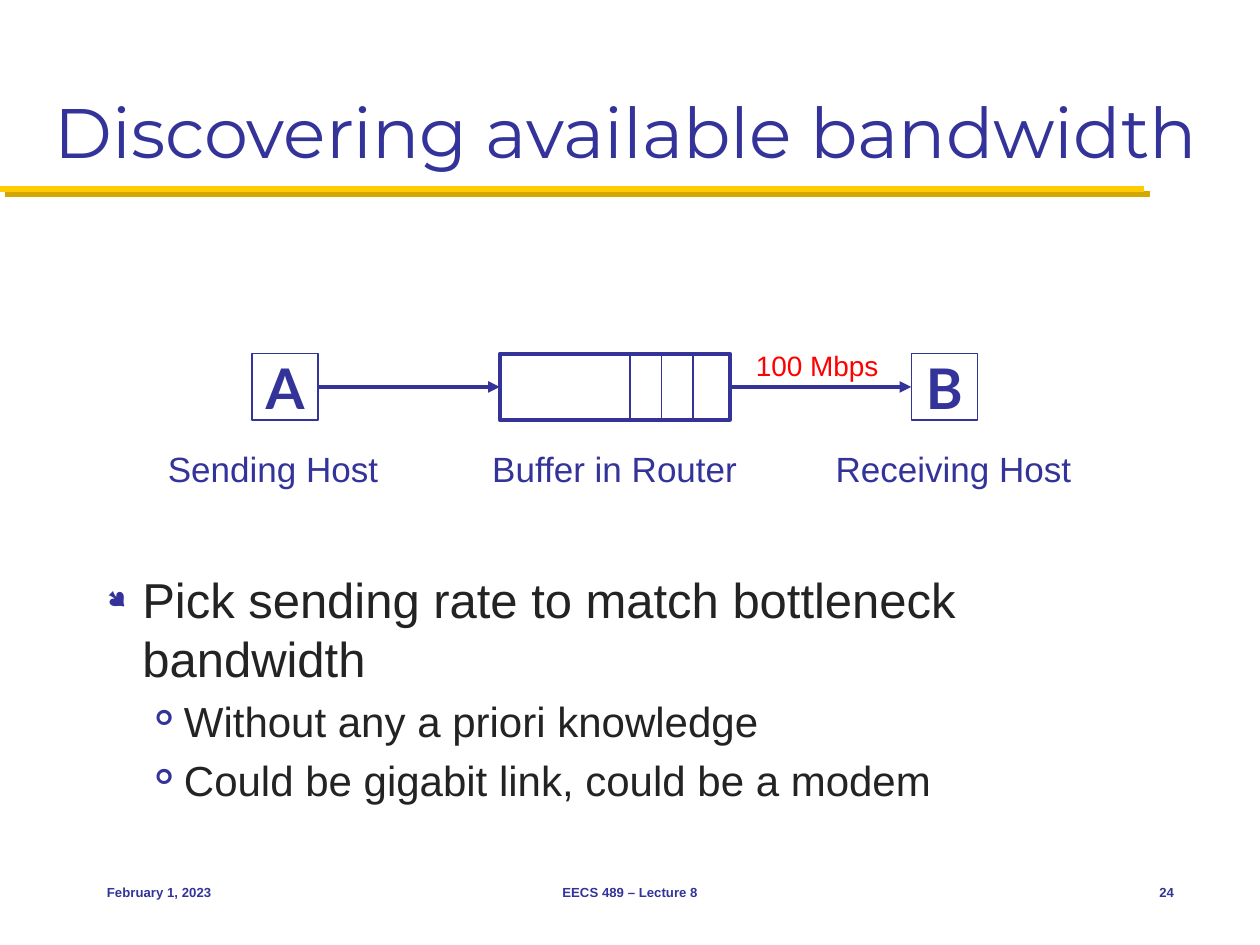
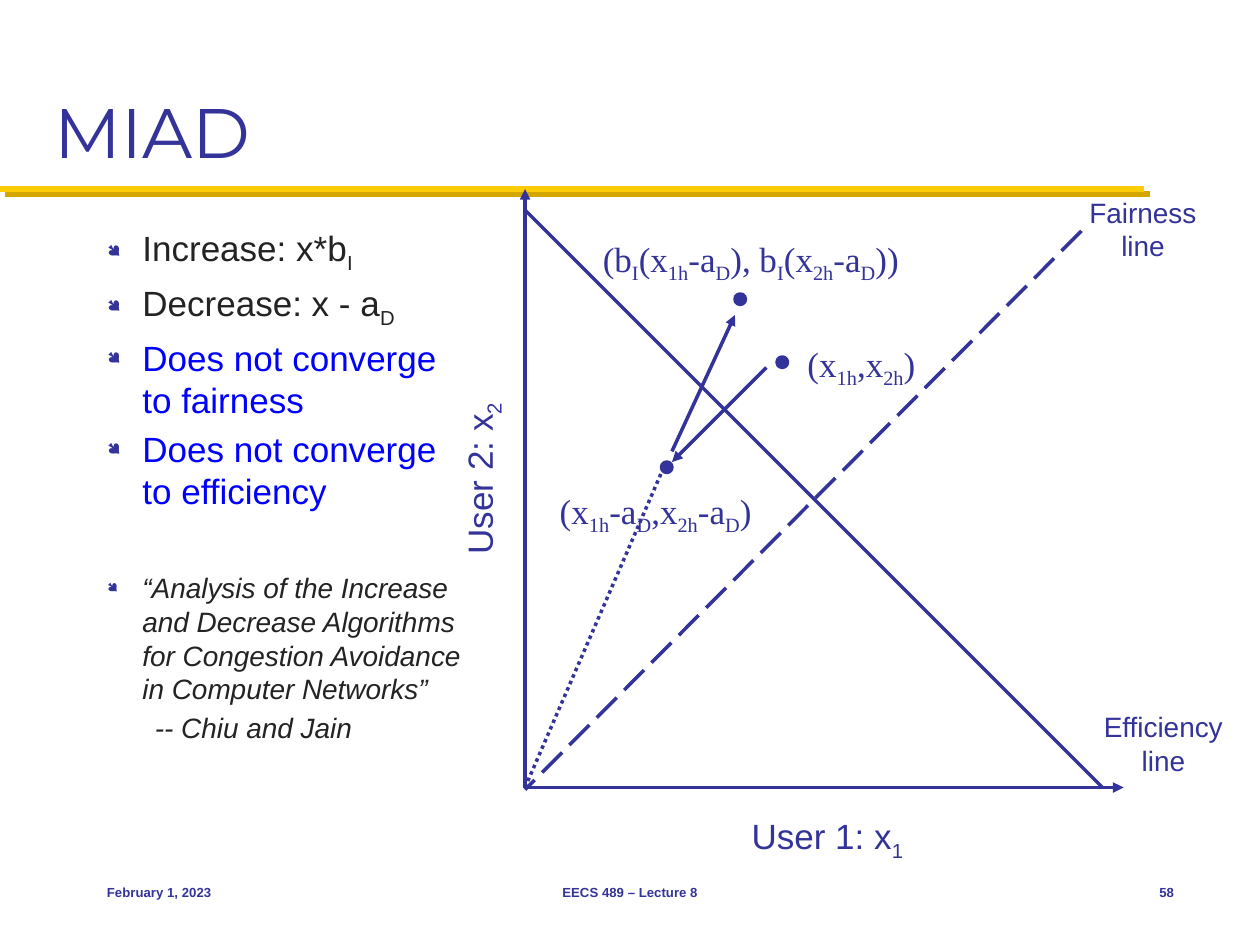
"""Two lecture slides on congestion control, laid out on a 120 x 90 grid."""
from dataclasses import dataclass
from typing import Optional

from lxml import etree
from pptx import Presentation
from pptx import util as u
from pptx.dml.color import RGBColor
from pptx.enum import dml, shapes, text
from pptx.oxml import ns

NAVY = RGBColor(0x33, 0x33, 0x99)
INK = RGBColor(0x23, 0x23, 0x23)
BLUE = RGBColor(0x00, 0x00, 0xFF)
RED = RGBColor(0xFF, 0x00, 0x00)
WHITE = RGBColor(0xFF, 0xFF, 0xFF)
GOLD = RGBColor(0xFF, 0xCB, 0x05)
DARK_GOLD = RGBColor(0xD3, 0xA6, 0x00)

SANS, SERIF, HEADING, HOST_FONT = "Arial", "Times New Roman", "Montserrat", "Lato"
LEFT, CENTER, RIGHT = text.PP_ALIGN.LEFT, text.PP_ALIGN.CENTER, text.PP_ALIGN.RIGHT
MIDDLE = text.MSO_ANCHOR.MIDDLE
DASH = dml.MSO_LINE
LINE_HEIGHT, PARA_GAP = 1.2, 0.2  # shares of the text size
DOT = 1  # diameter of a plotted point, in columns


def grid(count: float) -> int:
    """Length of a number of columns or rows (twelve to the inch)."""
    return u.Inches(round(count / 12, 3))


@dataclass(frozen=True)
class Label:
    """Free text; parts between bars alternate normal and subscript."""
    content: str
    col: float
    row: float
    cols: float
    rows: float = 5.2
    size: float = 20
    font: str = SANS
    color: RGBColor = NAVY
    align: text.PP_ALIGN = CENTER
    bold: bool = False
    middle: bool = False
    wrap: bool = False
    turn: float = 0


@dataclass(frozen=True)
class Stroke:
    """Straight line between two grid points."""
    start: tuple[float, float]
    end: tuple[float, float]
    width: float = 2
    arrow: bool = False
    dash: Optional[dml.MSO_LINE] = None
    color: RGBColor = NAVY


@dataclass(frozen=True)
class Item:
    """Paragraph of the body list; skip is extra space above in points."""
    content: str
    size: float
    color: RGBColor = INK
    level: int = 0
    bullet: str = "\u25cf"
    margin: float = 0.28
    hang: float = 0.28
    italic: bool = False
    skip: float = 0


def add_child(parent, tag: str, **attributes: str):
    """Append a DrawingML element and return it."""
    return etree.SubElement(parent, ns.qn(tag), attributes)


def add_spans(para, content: str, size: float, font: str, color: RGBColor,
              bold: bool = False, italic: bool = False) -> None:
    """Write the runs of a paragraph, lowering every second part."""
    for index, part in enumerate(content.split("|")):
        if not part:
            continue
        span = para.add_run()
        span.text = part
        style = span.font
        style.name, style.size, style.color.rgb = font, u.Pt(size), color
        style.bold, style.italic = bold, italic
        if index % 2:
            style._element.set("baseline", "-25000")


def add_label(page, label: Label) -> None:
    """Place a text box, one paragraph for each line of its content."""
    box = page.shapes.add_textbox(*map(grid, (label.col, label.row, label.cols, label.rows)))
    box.rotation = label.turn
    frame = box.text_frame
    frame.word_wrap = label.wrap
    if label.middle:
        frame.vertical_anchor = MIDDLE
    for index, content in enumerate(label.content.split("\n")):
        para = frame.add_paragraph() if index else frame.paragraphs[0]
        para.alignment = label.align
        add_spans(para, content, label.size, label.font, label.color, label.bold)


def add_stroke(page, stroke: Stroke):
    """Draw a line or arrow and return its (empty) effect list."""
    line = page.shapes.add_connector(
        shapes.MSO_CONNECTOR.STRAIGHT, *map(grid, stroke.start + stroke.end))
    line.line.color.rgb = stroke.color
    line.line.width = u.Pt(stroke.width)
    if stroke.dash:
        line.line.dash_style = stroke.dash
    if stroke.arrow:
        add_child(line.line._get_or_add_ln(), "a:tailEnd", type="triangle")
    return add_child(line._element.spPr, "a:effectLst")


def add_figure(page, kind: shapes.MSO_SHAPE, area: tuple[float, ...],
               fill: RGBColor, width: float, letter: str = "") -> None:
    """Draw an outlined shape, with a bold letter if one is given."""
    figure = page.shapes.add_shape(kind, *map(grid, area))
    figure.shadow.inherit = False
    figure.fill.solid()
    figure.fill.fore_color.rgb = fill
    figure.line.color.rgb = NAVY
    figure.line.width = u.Pt(width)
    if letter:
        frame = figure.text_frame
        frame.word_wrap = False
        frame.vertical_anchor = MIDDLE
        frame.margin_left = frame.margin_right = u.Inches(0.06)
        frame.margin_top = frame.margin_bottom = u.Inches(0.03)
        frame.paragraphs[0].alignment = CENTER
        add_spans(frame.paragraphs[0], letter, 32, HOST_FONT, NAVY, bold=True)


def add_item(para, item: Item) -> None:
    """Format one list paragraph and its bullet."""
    para.level = item.level
    para.alignment = LEFT
    para.space_before = u.Pt(item.size * PARA_GAP + item.skip)
    props = para._p.get_or_add_pPr()
    props.set("marL", str(u.Inches(item.margin)))
    props.set("indent", str(-u.Inches(item.hang)))
    if item.bullet:
        add_child(add_child(props, "a:buClr"), "a:srgbClr", val=str(NAVY))
        add_child(props, "a:buSzPct", val="50000")
        add_child(props, "a:buFont", typeface="Wingdings")
        add_child(props, "a:buChar", char=item.bullet)
    else:
        add_child(props, "a:buNone")
    add_spans(para, item.content, item.size, SANS, item.color, italic=item.italic)


def place(holder, area: tuple[float, ...]) -> None:
    """Move a placeholder to an area of the grid."""
    holder.left, holder.top, holder.width, holder.height = map(grid, area)
    holder.text_frame.auto_size = text.MSO_AUTO_SIZE.NONE


def add_page(deck, title: str, number: int, body_cols: float, items: list[Item],
             drop: float = 0):
    """Add a slide with title, gold band, list and footer; drop lowers the list (points)."""
    page = deck.slides.add_slide(deck.slide_layouts[1])
    effects = add_stroke(page, Stroke((0, 18), (109, 18), 3.5, color=GOLD))
    shadow = add_child(effects, "a:outerShdw", dist=str(u.Pt(4.2)), dir="2700000",
                       algn="ctr", rotWithShape="0")
    add_child(shadow, "a:srgbClr", val=str(DARK_GOLD))

    heading = page.shapes.title
    place(heading, (4, 2, 112, 15))
    heading.text_frame.vertical_anchor = text.MSO_ANCHOR.BOTTOM
    heading.text_frame.paragraphs[0].alignment = LEFT
    add_spans(heading.text_frame.paragraphs[0], title, 40, HEADING, NAVY)

    body = page.placeholders[1]
    place(body, (9, 21, body_cols, 58))
    frame = body.text_frame
    frame.margin_top = u.Inches(0.05) + u.Pt(drop)
    for index, item in enumerate(items):
        add_item(frame.add_paragraph() if index else frame.paragraphs[0], item)

    for content, col, cols, align in (("February 1, 2023", 9, 25, LEFT),
                                      ("EECS 489 \u2013 Lecture 8", 41, 38, CENTER),
                                      (str(number), 105, 8, RIGHT)):
        add_label(page, Label(content, col, 82, cols, 6, 7.5, align=align,
                              bold=True, middle=True))
    return page


def build_bandwidth(deck) -> None:
    """Slide with two hosts joined through a router buffer."""
    items = [
        Item("Pick sending rate to match bottleneck bandwidth", 28),
        *(Item(content, 24, level=1, bullet="\u27a2", margin=0.61, hang=0.23)
          for content in ("Without any a priori knowledge",
                          "Could be gigabit link, could be a modem")),
    ]
    page = add_page(deck, "Discovering available bandwidth", 24, 104, items,
                    drop=5 * 28 * (LINE_HEIGHT + PARA_GAP))
    top, side = 33.7, 6.3
    sender, buffer, buffer_cols, receiver = 24, 47.6, 21.9, 86.8
    for col, cols, width, letter in ((sender, side, 0.75, "A"),
                                     (buffer, buffer_cols, 2.25, ""),
                                     (receiver, side, 0.75, "B")):
        add_figure(page, shapes.MSO_SHAPE.RECTANGLE, (col, top, cols, side),
                   WHITE, width, letter)
    center = top + side / 2
    for start, end in ((sender + side, buffer), (buffer + buffer_cols, receiver)):
        add_stroke(page, Stroke((start, center), (end, center), 2.25, arrow=True))
    for packet in range(3):
        col = 60 + 3 * packet
        add_stroke(page, Stroke((col, top), (col, top + side), 1))

    for content, col, cols in (("Sending Host", 14.8, 22.5),
                               ("Buffer in Router", 45.7, 25.9),
                               ("Receiving Host", 78.4, 25.1)):
        add_label(page, Label(content, col, 42, cols, align=LEFT))
    add_label(page, Label("100 Mbps", 70.8, 32.6, 14.3, 4.4, 16, color=RED, align=LEFT))


def build_miad(deck) -> None:
    """Slide plotting the rates of two users under MIAD."""
    items = [
        Item("Increase: x*b|I", 20),
        Item("Decrease: x - a|D", 20),
        Item("Does not converge to fairness", 20, BLUE),
        Item("Does not converge to efficiency", 20, BLUE),
        Item("\u201cAnalysis of the Increase and Decrease Algorithms for Congestion "
             "Avoidance in Computer Networks\u201d", 16, italic=True,
             skip=22 * (LINE_HEIGHT + PARA_GAP)),
        Item("-- Chiu and Jain", 16, level=1, bullet="", margin=0.38, hang=0, italic=True),
    ]
    page = add_page(deck, "MIAD", 58, 36.7, items)
    origin = (50, 75)
    for stroke in (
        Stroke(origin, (50, 18), arrow=True),
        Stroke((103, 22), (50, 75.2), dash=DASH.LONG_DASH),
        Stroke(origin, (107, 75), arrow=True),
        Stroke((50, 20), (105, 75)),
        Stroke((73, 35), (64, 44), arrow=True),
        Stroke((64, 43), (70, 30), arrow=True),
        Stroke(origin, (63, 45), dash=DASH.ROUND_DOT),
    ):
        add_stroke(page, stroke)
    for col, row in ((74, 34), (63, 44), (70, 28)):
        add_figure(page, shapes.MSO_SHAPE.OVAL, (col, row, DOT, DOT), NAVY, 2)

    for label in (
        Label("(x|1h|,x|2h|)", 75.4, 32, 13.3, font=SERIF),
        Label("(x|1h|-a|D|,x|2h|-a|D|)", 51.6, 46, 21.7, font=SERIF),
        Label("(b|I|(x|1h|-a|D|), b|I|(x|2h|-a|D|))", 54, 22, 35, font=SERIF, wrap=True),
        Label("Fairness\nline", 102.5, 18, 12.7, 7.7, 16),
        Label("Efficiency\nline", 103.9, 67, 13.8, 7.7, 16),
        Label("User 1: x|1", 70.3, 77, 17),
        Label("User 2: x|2", 37.1, 43, 17, turn=270),
    ):
        add_label(page, label)


def main() -> None:
    """Build and save the deck."""
    deck = Presentation()
    deck.slide_width, deck.slide_height = grid(120), grid(90)
    build_bandwidth(deck)
    build_miad(deck)
    deck.save("out.pptx")


main()
